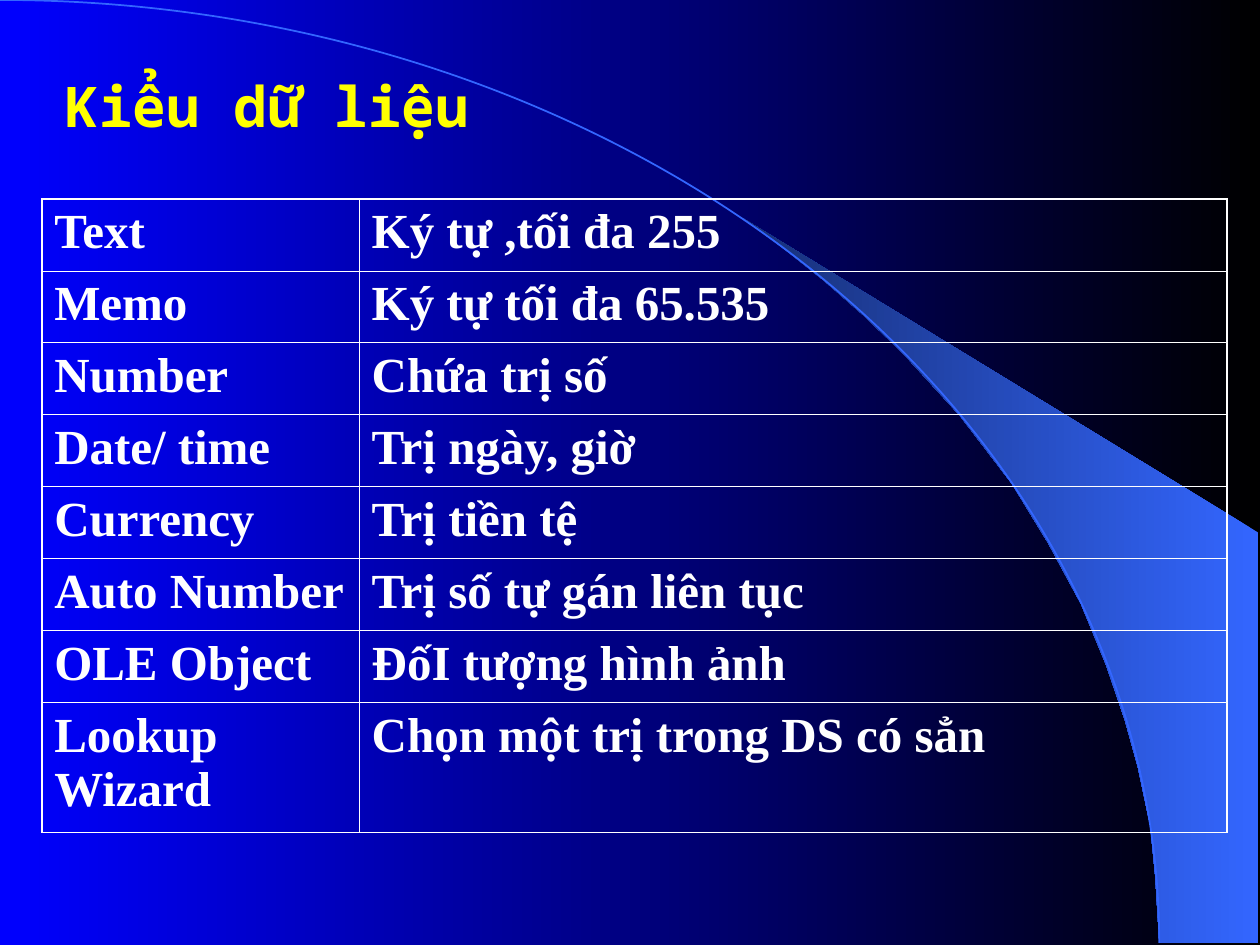
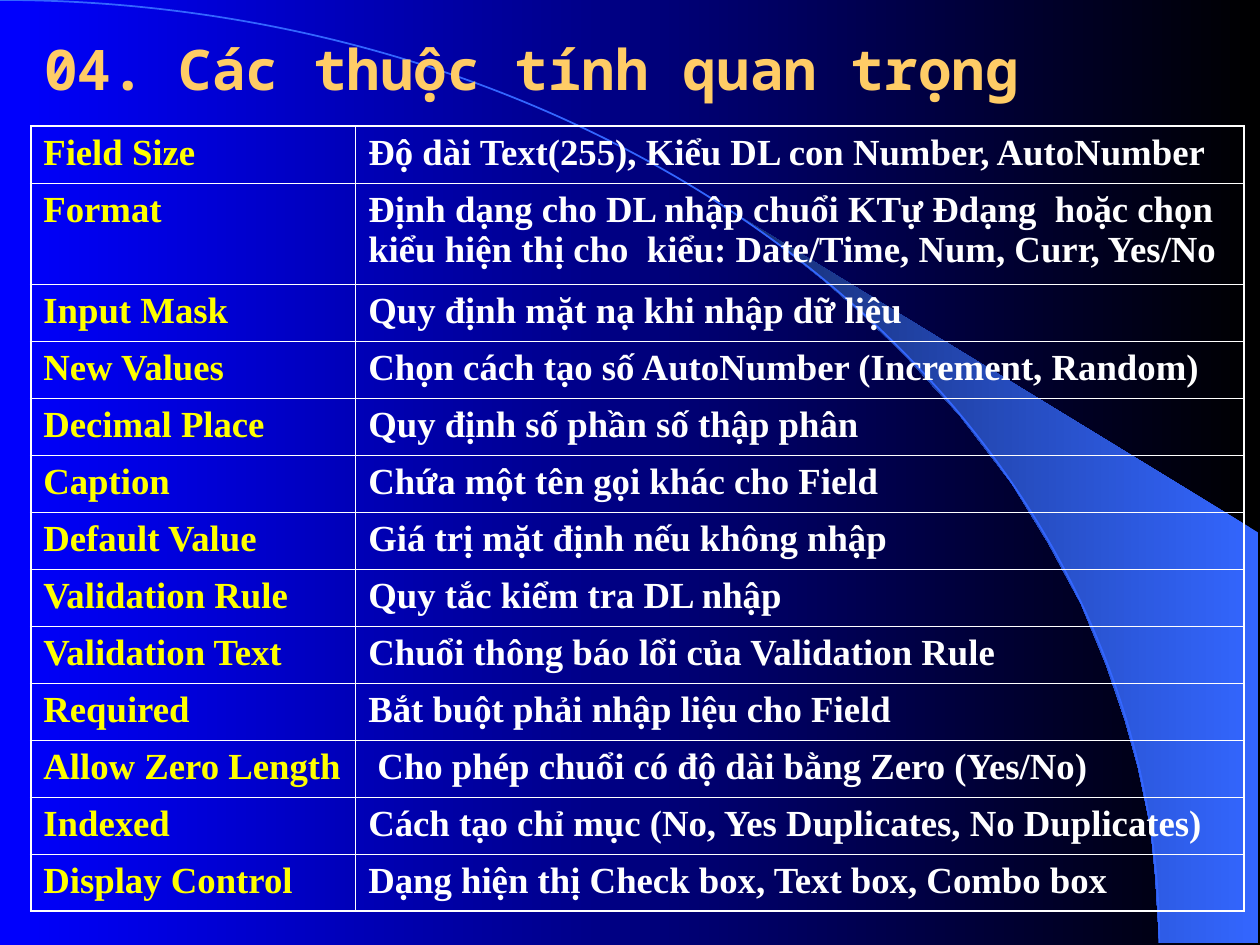
from lxml.etree import SubElement
from pptx import Presentation
from pptx.dml.color import RGBColor
from pptx.enum.shapes import MSO_SHAPE as Shape
from pptx.enum.text import MSO_ANCHOR as Anchor, MSO_AUTO_SIZE as AutoSize, PP_ALIGN as Align
from pptx.oxml.ns import qn
from pptx.util import Cm, Pt

WHITE, YELLOW, GOLD = "FFFFFF", "FFFF00", "FFCC66"
BLACK, BLUE, SKY, NAVY = "000000", "0000FF", "3366FF", "172F75"
TITLE_FONT, TABLE_FONT = "Noto Sans Mono", "Times New Roman"
OUTER, INNER = 1.08, 0.45

SWOOSH = [
    (23.37, 19), (25.37, 19.02), (25.37, 10.74), (14.96, 4.39), (15.85, 5.05),
    (16.59, 5.64), (17.4, 6.35), (18.19, 7.11), (19.35, 8.38), (20.4, 9.75),
    (21.13, 10.95), (21.79, 12.17), (22.3, 13.41), (22.68, 14.53),
    (22.94, 15.47), (23.19, 16.66), (23.29, 17.68),
]

DATA_TYPES = [
    ("Text", "Ký tự ,tối đa 255"),
    ("Memo", "Ký tự tối đa 65.535"),
    ("Number", "Chứa trị số"),
    ("Date/ time", "Trị ngày, giờ"),
    ("Currency", "Trị tiền tệ"),
    ("Auto Number", "Trị số tự gán liên tục"),
    ("OLE Object", "ĐốI tượng hình ảnh"),
    ("Lookup Wizard", "Chọn một trị trong DS có sẳn"),
]

FIELD_PROPERTIES = [
    ("Field Size", "Độ dài Text(255), Kiểu DL con Number, AutoNumber"),
    ("Format", "Định dạng cho DL nhập chuổi KTự Đdạng  hoặc chọn "
               "kiểu hiện thị cho  kiểu: Date/Time, Num, Curr, Yes/No"),
    ("Input Mask", "Quy định mặt nạ khi nhập dữ liệu"),
    ("New Values", "Chọn cách tạo số AutoNumber (Increment, Random)"),
    ("Decimal Place", "Quy định số phần số thập phân"),
    ("Caption", "Chứa một tên gọi khác cho Field"),
    ("Default Value", "Giá trị mặt định nếu không nhập"),
    ("Validation Rule", "Quy tắc kiểm tra DL nhập"),
    ("Validation Text", "Chuổi thông báo lổi của Validation Rule"),
    ("Required", "Bắt buột phải nhập liệu cho Field"),
    ("Allow Zero Length", " Cho phép chuổi có độ dài bằng Zero (Yes/No)"),
    ("Indexed", "Cách tạo chỉ mục (No, Yes Duplicates, No Duplicates)"),
    ("Display Control", "Dạng hiện thị Check box, Text box, Combo box"),
]


def rgb(value):
    return RGBColor.from_string(value)


def set_gradient(fill, start, end):
    fill.gradient()
    fill.gradient_angle = 180
    for stop, color in zip(fill.gradient_stops, (start, end)):
        stop.color.rgb = rgb(color)


def format_runs(p, font, size, color):
    for r in p.runs:
        r.font.name = font
        r.font.size = Pt(size)
        r.font.bold = True
        r.font.color.rgb = rgb(color)


def add_swoosh(s):
    points = [(Cm(x), Cm(y)) for x, y in SWOOSH]
    builder = s.shapes.build_freeform(*points[0])
    builder.add_line_segments(points[1:], close=True)
    sp = builder.convert_to_shape()
    set_gradient(sp.fill, SKY, NAVY)
    sp.line.fill.background()
    return sp


def add_arc(s):
    sp = s.shapes.add_shape(Shape.ARC, Cm(-23.37), 0, Cm(46.74), Cm(38.02))
    sp.fill.background()
    sp.line.color.rgb = rgb(SKY)
    sp.line.width = Pt(1)
    return sp


def decorate_layout(layout, s):
    set_gradient(layout.background.fill, BLACK, BLUE)
    for i, sp in enumerate((add_swoosh(s), add_arc(s))):
        sp.shadow.inherit = False
        layout.shapes.element.insert(2 + i, sp.element)


def set_title(s, text, color, left, top, width, height):
    sp = s.shapes.title
    sp.left, sp.top, sp.width, sp.height = map(Cm, (left, top, width, height))
    tf = sp.text_frame
    tf.text = text
    tf.word_wrap = True
    tf.auto_size = AutoSize.NONE
    tf.vertical_anchor = Anchor.MIDDLE
    p = tf.paragraphs[0]
    p.alignment = Align.LEFT
    format_runs(p, TITLE_FONT, 32, color)


def set_borders(cell, widths):
    tcPr = cell._tc.get_or_add_tcPr()
    for side, width in zip("LRTB", widths):
        ln = SubElement(tcPr, qn(f"a:ln{side}"), w=str(Pt(width)))
        fill = SubElement(ln, qn("a:solidFill"))
        SubElement(fill, qn("a:srgbClr"), val=WHITE)


def add_grid(s, rows, left, top, col_widths, row_heights, size, space, key_color):
    frame = s.shapes.add_table(len(rows), len(col_widths), Cm(left), Cm(top),
                               Cm(sum(col_widths)), Cm(sum(row_heights)))
    table = frame.table
    table.first_row = table.horz_banding = False
    for col, width in zip(table.columns, col_widths):
        col.width = Cm(width)
    last_row, last_col = len(rows) - 1, len(col_widths) - 1
    for i, (row, height) in enumerate(zip(rows, row_heights)):
        table.rows[i].height = Cm(height)
        for j, text in enumerate(row):
            cell = table.cell(i, j)
            cell.text = text
            p = cell.text_frame.paragraphs[0]
            p.space_before = Pt(space)
            format_runs(p, TABLE_FONT, size, WHITE if j else key_color)
            edges = (j == 0, j == last_col, i == 0, i == last_row)
            set_borders(cell, [OUTER if edge else INNER for edge in edges])
            cell.fill.background()


def main():
    prs = Presentation()
    prs.slide_width, prs.slide_height = Cm(25.4), Cm(19.05)
    layout = prs.slide_layouts[5]

    s = prs.slides.add_slide(layout)
    decorate_layout(layout, s)
    add_grid(s, DATA_TYPES, 0.84, 4.01, (6.4, 17.5), [1.45] * 7 + [2.62],
             28, 7, WHITE)
    set_title(s, "Kiểu dữ liệu", YELLOW, 1.07, 1.27, 9.53, 1.7)

    s = prs.slides.add_slide(layout)
    add_grid(s, FIELD_PROPERTIES, 0.62, 2.54, (6.55, 17.91),
             [1.15, 2.04] + [1.15] * 11, 21, 5.2, YELLOW)
    set_title(s, "04. Các thuộc tính quan trọng", GOLD, 0.64, 0.64, 21.59, 1.47)

    prs.save("out.pptx")


if __name__ == "__main__":
    main()
